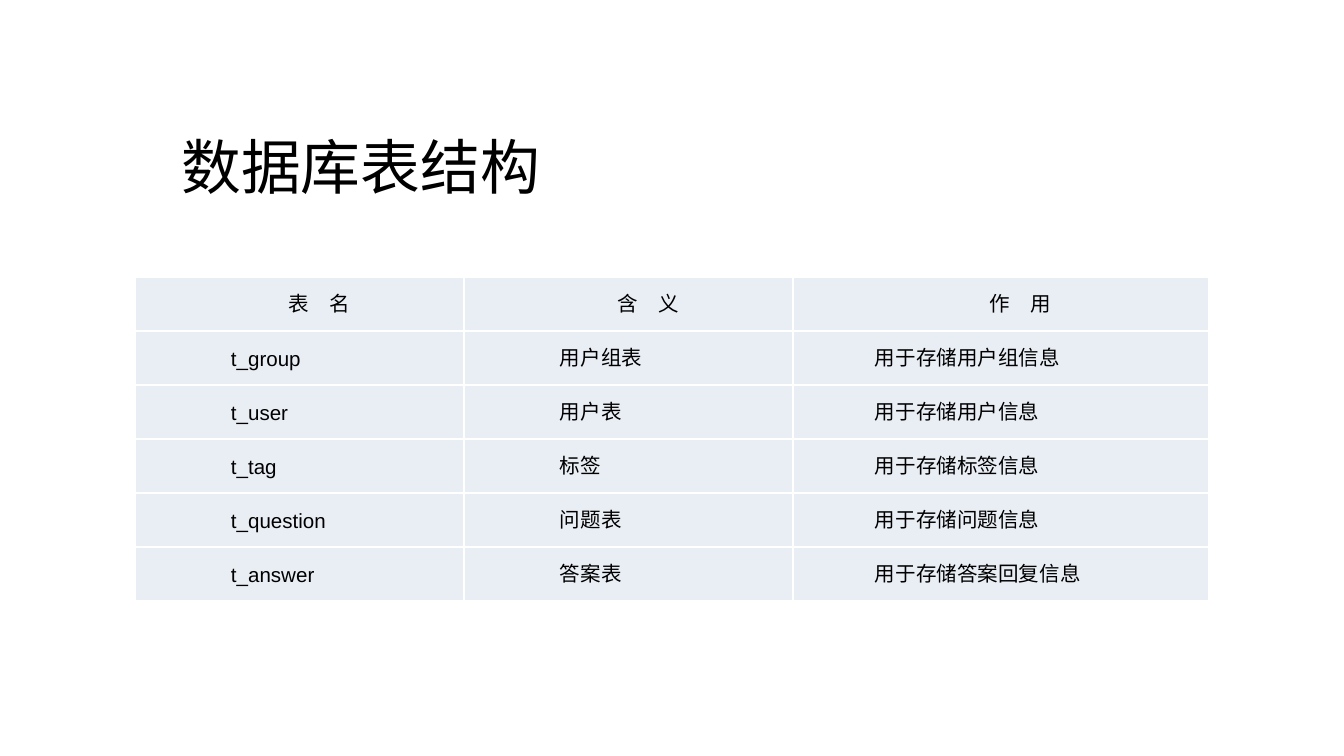
from pptx import Presentation
from pptx.dml.color import RGBColor
from pptx.enum.text import MSO_ANCHOR, MSO_AUTO_SIZE, PP_ALIGN
from pptx.oxml.ns import qn
from pptx.util import Pt
from lxml.etree import SubElement

# Content
TITLE = "数据库表结构"
ROWS = [
    ("表　名", "含　义", "作　用"),
    ("t_group", "用户组表", "用于存储用户组信息"),
    ("t_user", "用户表", "用于存储用户信息"),
    ("t_tag", "标签", "用于存储标签信息"),
    ("t_question", "问题表", "用于存储问题信息"),
    ("t_answer", "答案表", "用于存储答案回复信息"),
]
COLORS = {"back": "FFFFFF", "cell": "E9EDF4", "text": "000000"}

# Layout in px
SCALE = 914400 / 134.4
WIDTHS = (329, 329, 416)
ROW_H = 54
HEAD_IN = 39
BODY_IN = (87, 87, 73)
PAD = 9


def px(n):
    return round(n * SCALE)


def color(name):
    return RGBColor.from_string(COLORS[name])


def write(frame, text, font, size, align):
    para = frame.paragraphs[0]
    para.alignment = align
    run = para.add_run()
    run.text = text
    run.font.name = font
    run.font.size = Pt(size)
    run.font.color.rgb = color("text")
    return para


def edge(cell):
    props = cell._tc.get_or_add_tcPr()
    for side in ("a:lnL", "a:lnR", "a:lnT", "a:lnB"):
        line = SubElement(props, qn(side), w=str(Pt(1)))
        fill = SubElement(line, qn("a:solidFill"))
        SubElement(fill, qn("a:srgbClr"), val=COLORS["back"])


# Slide
deck = Presentation()
deck.slide_width, deck.slide_height = px(1344), px(756)
slide = deck.slides.add_slide(deck.slide_layouts[5])
slide.background.fill.solid()
slide.background.fill.fore_color.rgb = color("back")

# Title
title = slide.shapes.title
title.left, title.top, title.width, title.height = map(px, (168, 121, 817, 90))
frame = title.text_frame
frame.auto_size = MSO_AUTO_SIZE.NONE
frame.vertical_anchor = MSO_ANCHOR.MIDDLE
write(frame, TITLE, "Calibri", 32, PP_ALIGN.LEFT)

# Table
table = slide.shapes.add_table(
    len(ROWS), len(WIDTHS), px(135), px(277),
    px(sum(WIDTHS)), px(ROW_H * len(ROWS))).table
for col, width in zip(table.columns, WIDTHS):
    col.width = px(width)
for r, row in enumerate(ROWS):
    table.rows[r].height = px(ROW_H)
    for c, text in enumerate(row):
        cell = table.cell(r, c)
        edge(cell)
        cell.fill.solid()
        cell.fill.fore_color.rgb = color("cell")
        cell.vertical_anchor = MSO_ANCHOR.MIDDLE
        cell.margin_left = cell.margin_right = px(PAD)
        cell.margin_top = cell.margin_bottom = 0
        align = PP_ALIGN.JUSTIFY if r else PP_ALIGN.CENTER
        para = write(cell.text_frame, text, "Arial", 11, align)
        para.font.bold = False
        para.runs[0].font.bold = False
        para.line_spacing = Pt(14)
        props = para._p.get_or_add_pPr()
        props.set("marL", "0")
        props.set("indent", str(px(BODY_IN[c] if r else HEAD_IN)))

deck.save("out.pptx")
